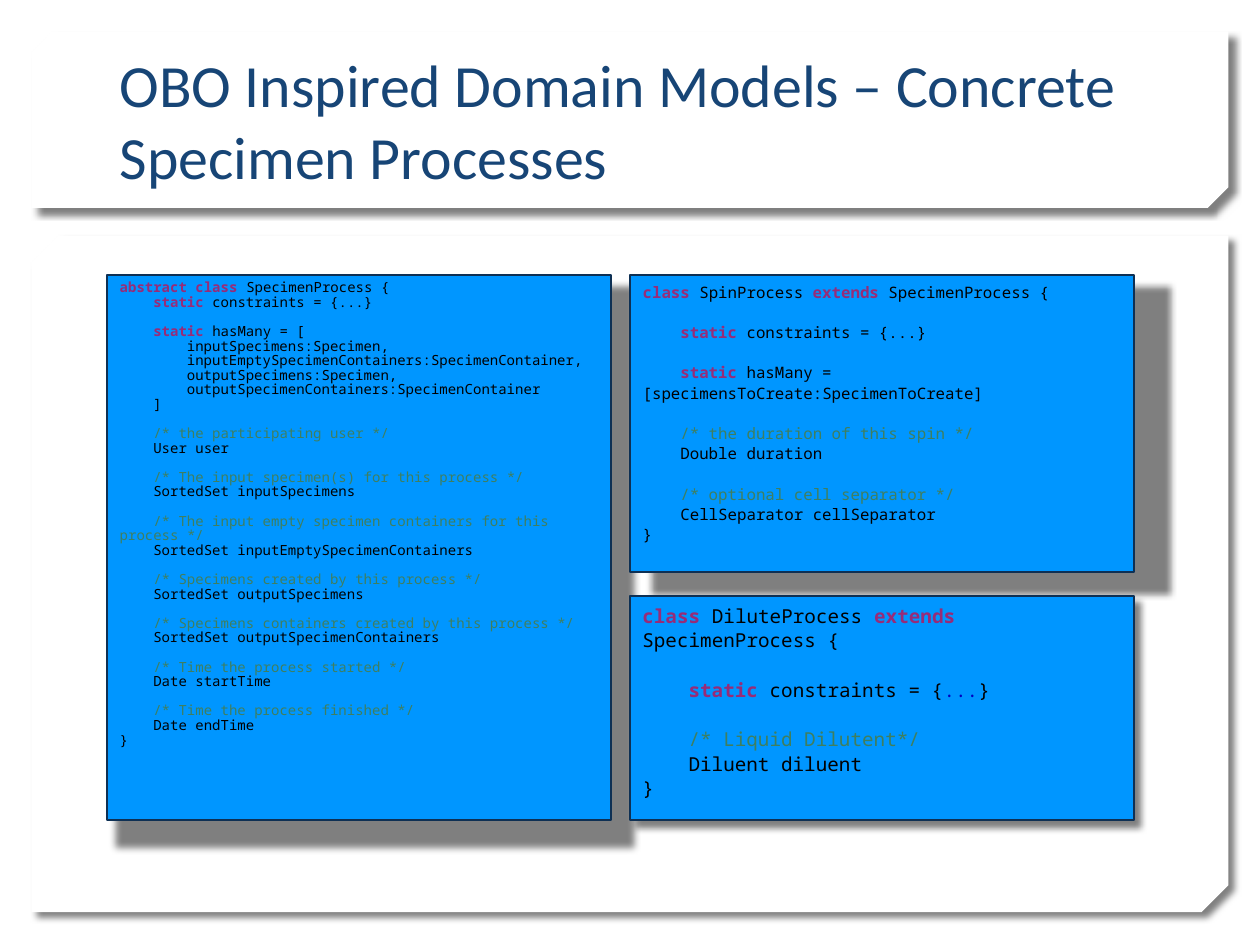
from lxml.etree import SubElement
from pptx import Presentation
from pptx.dml.color import RGBColor
from pptx.enum.shapes import MSO_SHAPE as Preset
from pptx.enum.text import MSO_ANCHOR as Anchor, MSO_AUTO_SIZE as AutoSize, PP_ALIGN as Align
from pptx.oxml.ns import qn
from pptx.util import Inches, Pt

TITLE = "OBO Inspired Domain Models – Concrete Specimen Processes"
SPECIMEN = [
    [(0, "abstract class| SpecimenProcess {"), (1, "static| constraints = {...}")],
    [
        (1, "static| hasMany = ["),
        (2, "inputSpecimens:Specimen,"),
        (2, "inputEmptySpecimenContainers:SpecimenContainer,"),
        (2, "outputSpecimens:Specimen,"),
        (2, "outputSpecimenContainers:SpecimenContainer"),
        (1, "]"),
    ],
    [(1, "/* the participating user */"), (1, "User user")],
    [(1, "/* The input specimen(s) for this process */"), (1, "SortedSet inputSpecimens")],
    [
        (1, "/* The input empty specimen containers for this process */"),
        (1, "SortedSet inputEmptySpecimenContainers"),
    ],
    [(1, "/* Specimens created by this process */"), (1, "SortedSet outputSpecimens")],
    [
        (1, "/* Specimens containers created by this process */"),
        (1, "SortedSet outputSpecimenContainers"),
    ],
    [(1, "/* Time the process started */"), (1, "Date startTime")],
    [(1, "/* Time the process finished */"), (1, "Date endTime"), (0, "}")],
]
SPIN = [
    [(0, "class| SpinProcess |extends| SpecimenProcess {")],
    [(1, "static| constraints = {...}")],
    [(1, "static| hasMany = [specimensToCreate:SpecimenToCreate]")],
    [(1, "/* the duration of this spin */"), (1, "Double duration")],
    [(1, "/* optional cell separator */"), (1, "CellSeparator cellSeparator"), (0, "}")],
]
DILUTE = [
    [(0, "class| DiluteProcess |extends| SpecimenProcess {")],
    [(1, "static| constraints = {|...|}")],
    [(1, "/* Liquid Dilutent*/"), (1, "Diluent diluent"), (0, "}")],
]
KEYWORDS = {"abstract class", "class", "extends", "static"}

THEME = {
    "title": {"name": "Calibri", "size": Pt(34.2), "color": "174576"},
    "code_font": "Noto Sans Mono",
    "code": "000000",
    "keyword": "972C78",
    "comment": "3F7F5F",
    "ellipsis": "0000C0",
    "card": "FFFFFF",
    "panel": "0096FF",
    "border": "0E3054",
    "shadow": "000000",
}
CARDS = [((0.25, 1.87, 9.5, 5.37), 0.04), ((0.25, 0.25, 9.5, 1.4), 0.117)]
TITLE_BOX = (0.85, 0.32, 8.29, 1.25)
LEFT, RIGHT, TOP, BOTTOM, WIDTH = 0.85, 5, 2.18, 6.51, 4
LOWER_TOP, UPPER_HEIGHT = 4.73, 2.36
CHARACTER_WIDTH, LINE_HEIGHT, TAB = 0.6, 1.2, 4


def place(shape, box):
    for name, value in zip(("left", "top", "width", "height"), box):
        setattr(shape, name, Inches(value))


def set_font(font, color, **values):
    for name, value in values.items():
        setattr(font, name, value)
    font.color.rgb = RGBColor.from_string(color)


def paint(shape, fill, scale=100):
    shape.fill.solid()
    shape.fill.fore_color.rgb = RGBColor.from_string(fill)
    effects = SubElement(shape._element.spPr, qn("a:effectLst"))
    shadow = SubElement(effects, qn("a:outerShdw"), blurRad=str(Pt(4)), dist=str(Pt(5)),
                        dir="2700000", sx=str(scale * 1000), sy=str(scale * 1000),
                        algn="tl", rotWithShape="0")
    color = SubElement(shadow, qn("a:srgbClr"), val=THEME["shadow"])
    SubElement(color, qn("a:alpha"), val="50000")


def style_of(part):
    if part in KEYWORDS:
        return "keyword"
    if part.startswith("/*"):
        return "comment"
    return "ellipsis" if part == "..." else "code"


def write_code(frame, blocks, size, spacing):
    for name, value in {"word_wrap": True, "auto_size": AutoSize.NONE,
                        "vertical_anchor": Anchor.TOP}.items():
        setattr(frame, name, value)
    lines = [(number > 0 and row == 0, level, text)
             for number, block in enumerate(blocks)
             for row, (level, text) in enumerate(block)]
    for index, (gap, level, text) in enumerate(lines):
        paragraph = frame.add_paragraph() if index else frame.paragraphs[0]
        formats = {
            "alignment": Align.LEFT,
            "line_spacing": spacing,
            "space_before": Pt(size * LINE_HEIGHT * spacing if gap else 0),
            "space_after": Pt(0),
        }
        for name, value in formats.items():
            setattr(paragraph, name, value)
        properties = paragraph._p.get_or_add_pPr()
        properties.set("marL", "0")
        properties.set("indent", str(Pt(level * TAB * CHARACTER_WIDTH * size)))
        SubElement(properties, qn("a:buNone"))
        for part in text.split("|"):
            run = paragraph.add_run()
            run.text = part
            style = style_of(part)
            set_font(run.font, THEME[style], name=THEME["code_font"], size=Pt(size),
                     bold=style == "keyword")


def add_card(slide, index, box, snip):
    card = slide.shapes.add_shape(Preset.SNIP_2_DIAG_RECTANGLE, *map(Inches, box))
    card.adjustments[0], card.adjustments[1] = 0, snip
    card._element.spPr.find(qn("a:xfrm")).set("flipV", "1")
    card.line.fill.background()
    paint(card, THEME["card"])
    slide.shapes._spTree.insert(2 + index, card._element)


def main():
    presentation = Presentation()
    presentation.slide_width, presentation.slide_height = Inches(10), Inches(7.5)
    slide = presentation.slides.add_slide(presentation.slide_layouts[3])
    for index, (box, snip) in enumerate(CARDS):
        add_card(slide, index, box, snip)

    title = slide.shapes.title
    place(title, TITLE_BOX)
    title.text_frame.text = TITLE
    title.text_frame.vertical_anchor = Anchor.BOTTOM
    title.text_frame.auto_size = AutoSize.NONE
    title.text_frame.paragraphs[0].alignment = Align.LEFT
    set_font(title.text_frame.paragraphs[0].runs[0].font, **THEME["title"])

    dilute_panel = slide.shapes.add_shape(Preset.RECTANGLE, 0, 0, 0, 0)
    panels = [
        (slide.placeholders[1], (LEFT, TOP, WIDTH, BOTTOM - TOP), SPECIMEN, 8, 0.87, 102.5),
        (slide.placeholders[2], (RIGHT, TOP, WIDTH, UPPER_HEIGHT), SPIN, 9, 1.07, 102.5),
        (dilute_panel, (RIGHT, LOWER_TOP, WIDTH, BOTTOM - LOWER_TOP), DILUTE, 11, 1.07, 100),
    ]
    for panel, box, blocks, size, spacing, shadow_scale in panels:
        place(panel, box)
        panel.line.color.rgb = RGBColor.from_string(THEME["border"])
        panel.line.width = Pt(1)
        paint(panel, THEME["panel"], int(shadow_scale * 10) / 10)
        write_code(panel.text_frame, blocks, size, spacing)
    presentation.save("out.pptx")


if __name__ == "__main__":
    main()
